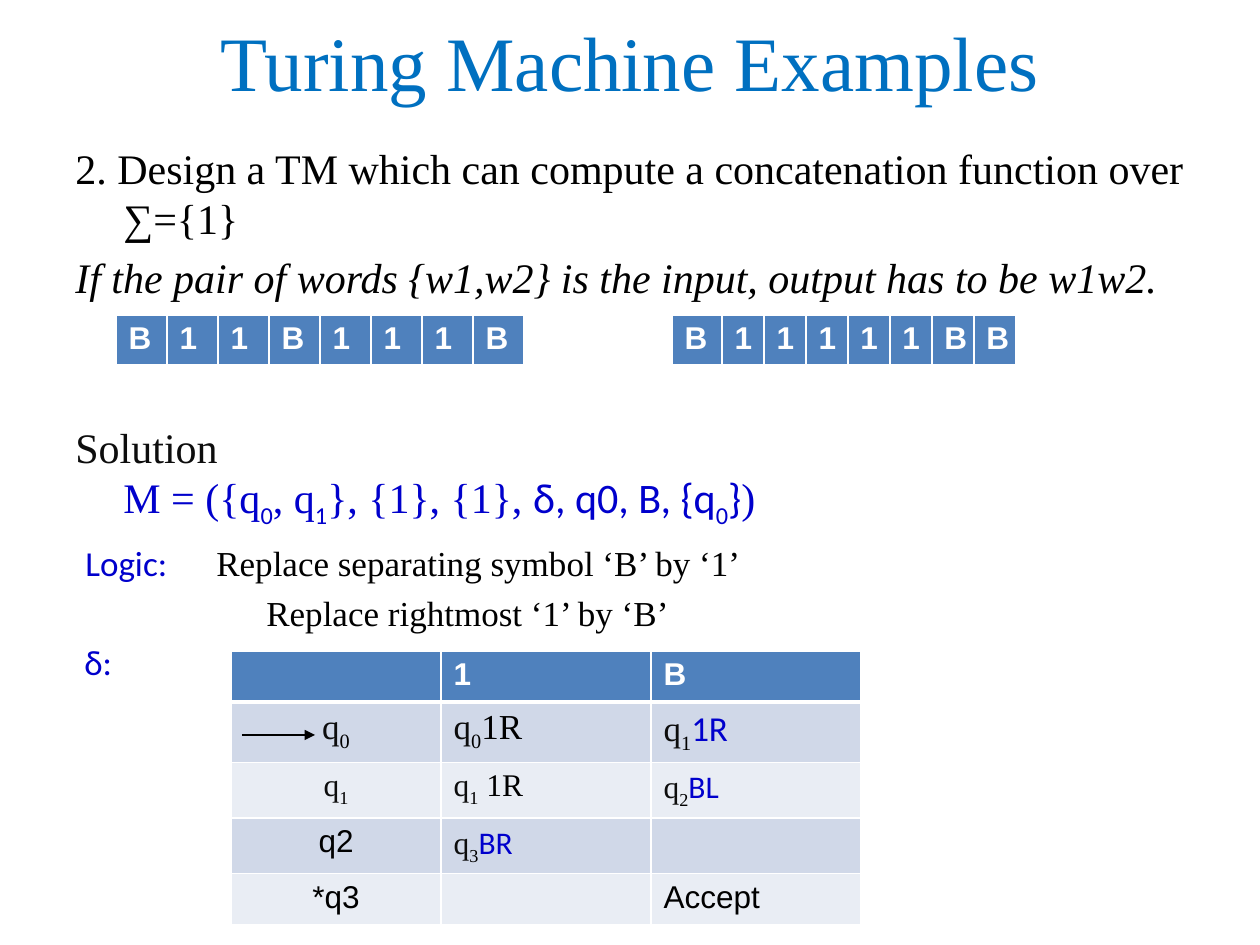
from dataclasses import dataclass

from lxml import etree
from pptx import Presentation
from pptx import util as u
from pptx.dml.color import RGBColor
from pptx.enum import shapes, text
from pptx.oxml import ns

DPI = 126
TIMES, SANS, ARIAL = "Times New Roman", "Calibri", "Arial"
WHITE = RGBColor(0xFF, 0xFF, 0xFF)
BLACK = RGBColor(0, 0, 0)
INK = RGBColor(0x0D, 0x0D, 0x0D)
BLUE = RGBColor(0, 0, 0xCC)
TITLE = RGBColor(0, 0x70, 0xC0)
HEAD = RGBColor(0x4F, 0x81, 0xBD)
BANDS = RGBColor(0xD0, 0xD8, 0xE8), RGBColor(0xE9, 0xED, 0xF4)


@dataclass(frozen=True)
class Run:
    words: str
    face: str = TIMES
    color: RGBColor = BLACK
    sub: bool = False
    slant: bool = False
    bold: bool = False


@dataclass(frozen=True)
class Para:
    runs: tuple[Run, ...]
    size: int = 24
    gap: int = 0  # points before
    left: int = 48
    first: int = -48
    center: bool = False


@dataclass(frozen=True)
class Grid:
    left: int
    top: int
    cols: tuple[int, ...]
    rows: tuple[tuple[Para, ...], ...]


def px(count: int) -> u.Emu:
    return u.Emu(round(count * 914400 / DPI))


def write(para, words: str, *, face: str, size: int, color: RGBColor,
          sub: bool = False, slant: bool = False, bold: bool = False) -> None:
    run = para.add_run()
    run.text = words
    font = run.font
    font.name, font.size = face, u.Pt(size)
    font.bold, font.italic = bold, slant
    font.color.rgb = color
    if sub:
        run._r.get_or_add_rPr().set("baseline", "-25000")


def fill(para, data: Para) -> None:
    """Put the runs of one paragraph in place."""
    para.alignment = text.PP_ALIGN.CENTER if data.center else text.PP_ALIGN.LEFT
    for run in data.runs:
        write(para, run.words, face=run.face, size=data.size, color=run.color,
              sub=run.sub, slant=run.slant, bold=run.bold)


def box(slide, left: int, top: int, width: int, height: int,
        paras: list[Para], anchor=text.MSO_ANCHOR.TOP) -> None:
    frame = slide.shapes.add_textbox(px(left), px(top), px(width), px(height)).text_frame
    frame.word_wrap = True
    frame.vertical_anchor = anchor
    for i, data in enumerate(paras):
        para = frame.add_paragraph() if i else frame.paragraphs[0]
        props = para._p.get_or_add_pPr()
        props.set("marL", str(px(data.left)))
        props.set("indent", str(px(data.first)))
        para.space_before = u.Pt(data.gap)
        fill(para, data)


def edge(cell, base: int) -> None:
    """Draw white cell borders, the bottom one as wide as base points."""
    props = cell._tc.get_or_add_tcPr()
    sides = ("lnL", 1), ("lnR", 1), ("lnT", 1), ("lnB", base)
    for i, (side, wide) in enumerate(sides):
        line = etree.Element(ns.qn(f"a:{side}"), w=str(u.Pt(wide)))
        solid = etree.SubElement(line, ns.qn("a:solidFill"))
        etree.SubElement(solid, ns.qn("a:srgbClr"), val=str(WHITE))
        props.insert(i, line)


def table(slide, grid: Grid, high: int = 51) -> None:
    frame = slide.shapes.add_table(
        len(grid.rows), len(grid.cols), px(grid.left), px(grid.top),
        px(sum(grid.cols)), px(high * len(grid.rows)))
    tab = frame.table
    for col, wide in zip(tab.columns, grid.cols):
        col.width = px(wide)
    for r, row in enumerate(grid.rows):
        tab.rows[r].height = px(high)
        for c, data in enumerate(row):
            cell = tab.cell(r, c)
            cell.fill.solid()
            cell.fill.fore_color.rgb = BANDS[(r - 1) % 2] if r else HEAD
            edge(cell, 1 if r else 3)
            fill(cell.text_frame.paragraphs[0], data)


def arrow(slide, x1: int, x2: int, y: int) -> None:
    line = slide.shapes.add_connector(
        shapes.MSO_CONNECTOR.STRAIGHT, px(x1), px(y), px(x2), px(y))
    line.line.color.rgb = BLACK
    line.line.width = u.Pt(0.75)
    etree.SubElement(line.line._get_or_add_ln(), ns.qn("a:tailEnd"), type="triangle")
    etree.SubElement(line._element.spPr, ns.qn("a:effectLst"))


def heads(*words: str) -> tuple[Para, ...]:
    return tuple(Para((Run(w, ARIAL, WHITE, bold=True),) if w else (), 18) for w in words)


def state(mark: str, *tail: Run, size: int = 18, center: bool = False) -> Para:
    """A cell with q, its subscript and what follows."""
    runs = Run("q", color=INK), Run(mark, sub=True), *tail
    return Para(runs, size, center=center)


def plain(words: str, center: bool = False) -> Para:
    return Para((Run(words, ARIAL),), 18, center=center)


def blue(words: str, face: str = SANS, sub: bool = False) -> Run:
    return Run(words, face, BLUE, sub)


EMPTY = Para((), 18)

BODY = [
    Para((Run("2. Design a TM which can compute a concatenation function over ∑={1}"),)),
    Para((Run("If the pair of words {w1,w2} is the input, output has to be w1w2.",
              slant=True),), gap=5),
    Para((Run("Solution", color=INK),), gap=68),
    Para((blue("M = ({q", TIMES), blue("0", sub=True), blue(", q", TIMES),
          blue("1", sub=True), blue("}, {1}, {1}, ", TIMES), blue("δ, q0, B, {q"),
          blue("0", sub=True), blue("}"), blue(")", TIMES)), first=0),
    Para((blue("Logic:\t"), Run("Replace separating symbol ‘B’ by ‘1’")),
         size=20, gap=7, left=141, first=-131),
    Para((Run("Replace rightmost ‘1’ by ‘B’"),), size=20, gap=5, left=191, first=0),
    Para((blue("δ:"),), size=20, gap=4, left=9, first=0),
]

MOVES = (
    heads("", "1", "B"),
    (state("0", size=20, center=True), state("0", Run("1R"), size=20),
     state("1", blue("1R"), size=20)),
    (state("1", center=True), state("1", Run(" 1R")), state("2", blue("BL"))),
    (plain("q2", True), state("3", blue("BR")), EMPTY),
    (plain("*q3", True), EMPTY, plain("Accept")),
)

GRIDS = [
    Grid(116, 315, (51,) * 8, (heads(*"11".join("BB"), *"111B"),)),
    Grid(672, 315, (50,) + (42,) * 7, (heads(*"B11111BB"),)),
    Grid(231, 651, (210,) * 3, MOVES),
]


def main() -> None:
    deck = Presentation()
    deck.slide_width, deck.slide_height = px(1260), px(945)
    slide = deck.slides.add_slide(deck.slide_layouts[6])
    name = Para((Run("Turing Machine Examples", color=TITLE),), 44,
                left=0, first=0, center=True)
    box(slide, 63, 38, 1134, 46, [name], text.MSO_ANCHOR.MIDDLE)
    box(slide, 63, 136, 1134, 788, BODY)
    for grid in GRIDS:
        table(slide, grid)
    arrow(slide, 242, 315, 735)
    deck.save("out.pptx")


if __name__ == "__main__":
    main()
